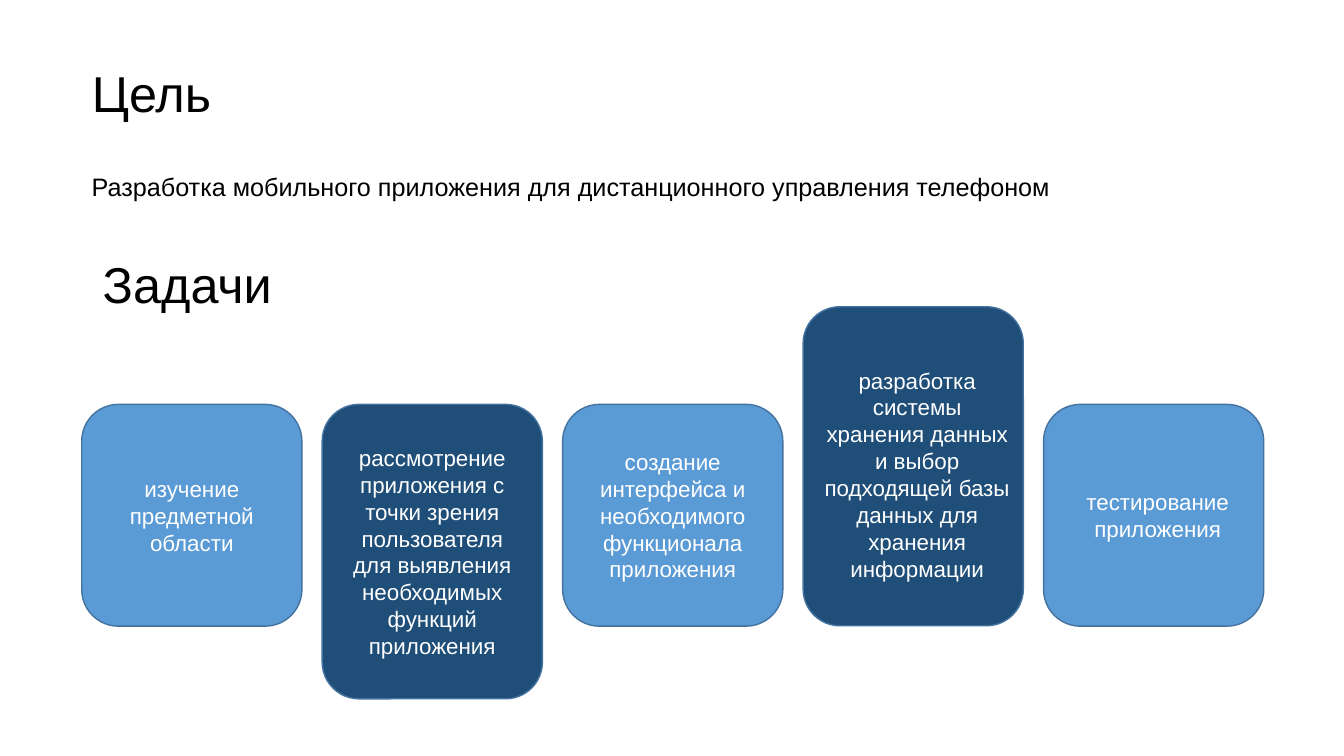
"""Build a slide with the goal and the five tasks of a mobile app project."""
from pptx import Presentation
from pptx.dml.color import RGBColor
from pptx.enum.shapes import MSO_SHAPE
from pptx.enum.text import MSO_ANCHOR, PP_ALIGN
from pptx.util import Cm, Pt


def color(value):
    return RGBColor.from_string(value)


def write(shape, text, size, text_color, alignment=PP_ALIGN.LEFT, anchor=MSO_ANCHOR.TOP):
    frame = shape.text_frame
    frame.text = text
    frame.word_wrap = True
    frame.vertical_anchor = anchor
    for paragraph in frame.paragraphs:
        paragraph.alignment = alignment
        paragraph.font.name = "Arial"
        paragraph.font.size = Pt(size)
        paragraph.font.color.rgb = color(text_color)


presentation = Presentation()
presentation.slide_width = Cm(33.87)
presentation.slide_height = Cm(19.05)
slide = presentation.slides.add_slide(presentation.slide_layouts[5])

title = slide.shapes.title
title.left, title.top, title.width, title.height = Cm(2.06), Cm(1.45), Cm(10), Cm(1.8)
write(title, "Цель", 36, "000000")

goal = slide.shapes.add_textbox(Cm(2.06), Cm(4.19), Cm(25.1), Cm(1))
write(goal, "Разработка мобильного приложения для дистанционного управления телефоном", 18, "000000")

tasks_heading = slide.shapes.add_textbox(Cm(2.34), Cm(6.25), Cm(10), Cm(1.8))
write(tasks_heading, "Задачи", 36, "000000")

LIGHT, DARK = "5B9BD5", "1F4E79"
CARD_LEFT, CARD_WIDTH, CARD_STEP = 2.06, 5.55, 6.06
ROW_TOP, ROW_HEIGHT = 10.19, 5.59
tasks = [
    ("изучение предметной области", LIGHT, ROW_TOP, ROW_HEIGHT, (0.2, 0, 0.2)),
    ("рассмотрение приложения с точки зрения пользователя для выявления "
     "необходимых функций приложения", DARK, ROW_TOP, 7.42, (0.3, 0, 0.3)),
    ("создание интерфейса и необходимого функционала приложения",
     LIGHT, ROW_TOP, ROW_HEIGHT, (0, 0, 0)),
    ("разработка системы хранения данных и выбор подходящей базы\n"
     "данных для хранения информации", DARK, 7.73, 8.04, (0.2, 0.4, 0)),
    ("тестирование приложения", LIGHT, ROW_TOP, ROW_HEIGHT, (0.3, 0, 0.1)),
]
for index, (text, fill, top, height, margins) in enumerate(tasks):
    card = slide.shapes.add_shape(
        MSO_SHAPE.ROUNDED_RECTANGLE,
        Cm(CARD_LEFT + index * CARD_STEP), Cm(top), Cm(CARD_WIDTH), Cm(height))
    card.shadow.inherit = False
    card.fill.solid()
    card.fill.fore_color.rgb = color(fill)
    card.line.color.rgb = color("43739E")
    card.line.width = Pt(1)
    write(card, text, 16, "FFFFFF", PP_ALIGN.CENTER, MSO_ANCHOR.MIDDLE)
    frame = card.text_frame
    frame.margin_left, frame.margin_top, frame.margin_right = map(Cm, margins)
    frame.margin_bottom = 0

presentation.save("out.pptx")
